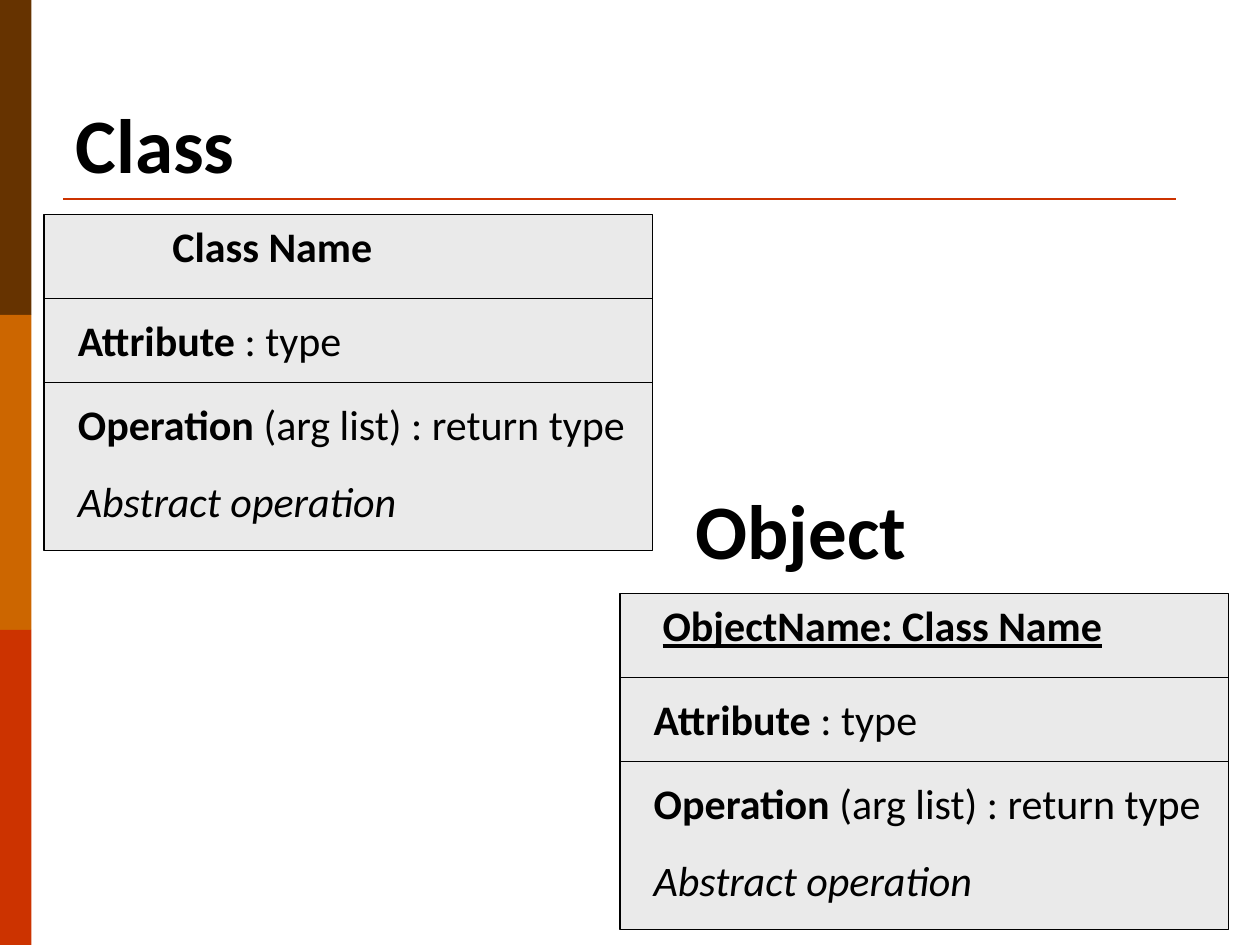
"""Build a slide that sets UML class notation beside object notation."""
from lxml import etree
from pptx import Presentation
from pptx.dml.color import RGBColor
from pptx.enum.shapes import MSO_CONNECTOR, MSO_SHAPE
from pptx.enum.text import MSO_ANCHOR, MSO_AUTO_SIZE, PP_ALIGN
from pptx.oxml.ns import qn
from pptx.util import Inches, Pt

RECT, LINE = MSO_SHAPE.RECTANGLE, MSO_CONNECTOR.STRAIGHT
BOTTOM, TOP, LEFT = MSO_ANCHOR.BOTTOM, MSO_ANCHOR.TOP, PP_ALIGN.LEFT
NO_FIT, GROW = MSO_AUTO_SIZE.NONE, MSO_AUTO_SIZE.SHAPE_TO_FIT_TEXT
BLACK = RGBColor(0x00, 0x00, 0x00)
GREY = RGBColor(0xEA, 0xEA, 0xEA)
BROWN = RGBColor(0x66, 0x33, 0x00)
AMBER = RGBColor(0xCC, 0x66, 0x00)
RED = RGBColor(0xCC, 0x33, 0x00)
FONT = "Calibri"

WIDE, HIGH = 10, 7.5
BANDS = [BROWN, AMBER, RED]
CARD_W, CARD_H = 4.83, 2.67
ROW = CARD_H / 4
PAD = 0.17

FIELDS = [[("Attribute", "b"), (" : type", "")]]
METHODS = [
    [("Operation", "b"), (" (arg list) : return type", "")],
    [("Abstract operation", "i")],
]
CARDS = [
    {"at": (0.35, 1.7), "name": ("Class Name", "b"), "inset": 0.92, "width": 2},
    {"at": (4.92, 4.71), "name": ("ObjectName: Class Name", "bu"),
     "inset": 0.24, "width": 4.45},
]


def add_rect(slide, box, fill, edge=None):
    shape = slide.shapes.add_shape(RECT, *map(Inches, box))
    shape.shadow.inherit = False
    shape.fill.solid()
    shape.fill.fore_color.rgb = fill
    if edge is None:
        shape.line.fill.background()
    else:
        shape.line.color.rgb = edge
        shape.line.width = Pt(0.75)


def add_rule(slide, left, top, width, color, weight):
    ends = map(Inches, (left, top, left + width, top))
    rule = slide.shapes.add_connector(LINE, *ends)
    rule.line.color.rgb = color
    rule.line.width = Pt(weight)
    etree.SubElement(rule._element.spPr, qn("a:effectLst"))


def set_text(shape, lines, size, anchor, fit, space=0):
    frame = shape.text_frame
    frame.word_wrap = True
    frame.auto_size = fit
    frame.vertical_anchor = anchor
    for i, line in enumerate(lines):
        para = frame.add_paragraph() if i else frame.paragraphs[0]
        para.alignment = LEFT
        para.space_before = Pt(space)
        for words, style in line:
            run = para.add_run()
            run.text = words
            font = run.font
            font.name, font.size = FONT, Pt(size)
            font.color.rgb = BLACK
            font.bold = "b" in style
            font.italic = "i" in style
            font.underline = "u" in style


def add_text(slide, box, lines):
    shape = slide.shapes.add_textbox(*map(Inches, box))
    set_text(shape, lines, 24, TOP, GROW, 15)


def add_head(shape, box, words):
    shape.left, shape.top, shape.width, shape.height = map(Inches, box)
    set_text(shape, [[(words, "b")]], 44, BOTTOM, NO_FIT)


def add_card(slide, card):
    left, top = card["at"]
    add_rect(slide, (left, top, CARD_W, CARD_H), GREY, BLACK)
    add_text(slide, (left + card["inset"], top, card["width"], 0.5), [[card["name"]]])
    add_text(slide, (left + PAD, top + ROW + 0.08, 3.67, 0.5), FIELDS)
    add_text(slide, (left + PAD, top + 2 * ROW + 0.08, CARD_W, 1.11), METHODS)
    for step in (1, 2):
        add_rule(slide, left, top + step * ROW, CARD_W, BLACK, 0.75)


def main():
    deck = Presentation()
    deck.slide_width, deck.slide_height = Inches(WIDE), Inches(HIGH)
    slide = deck.slides.add_slide(deck.slide_layouts[5])
    band = HIGH / len(BANDS)
    for i, color in enumerate(BANDS):
        add_rect(slide, (0, i * band, 0.25, band), color)
    add_rule(slide, 0.5, 1.58, 8.83, RED, 1.5)
    add_head(slide.shapes.title, (0.5, 0.3, 9, 1.25), "Class")
    for card in CARDS:
        add_card(slide, card)
    label = slide.shapes.add_textbox(0, 0, 0, 0)
    add_head(label, (5.42, 2.33, 4.58, 2.28), "Object")
    deck.save("out.pptx")


if __name__ == "__main__":
    main()
